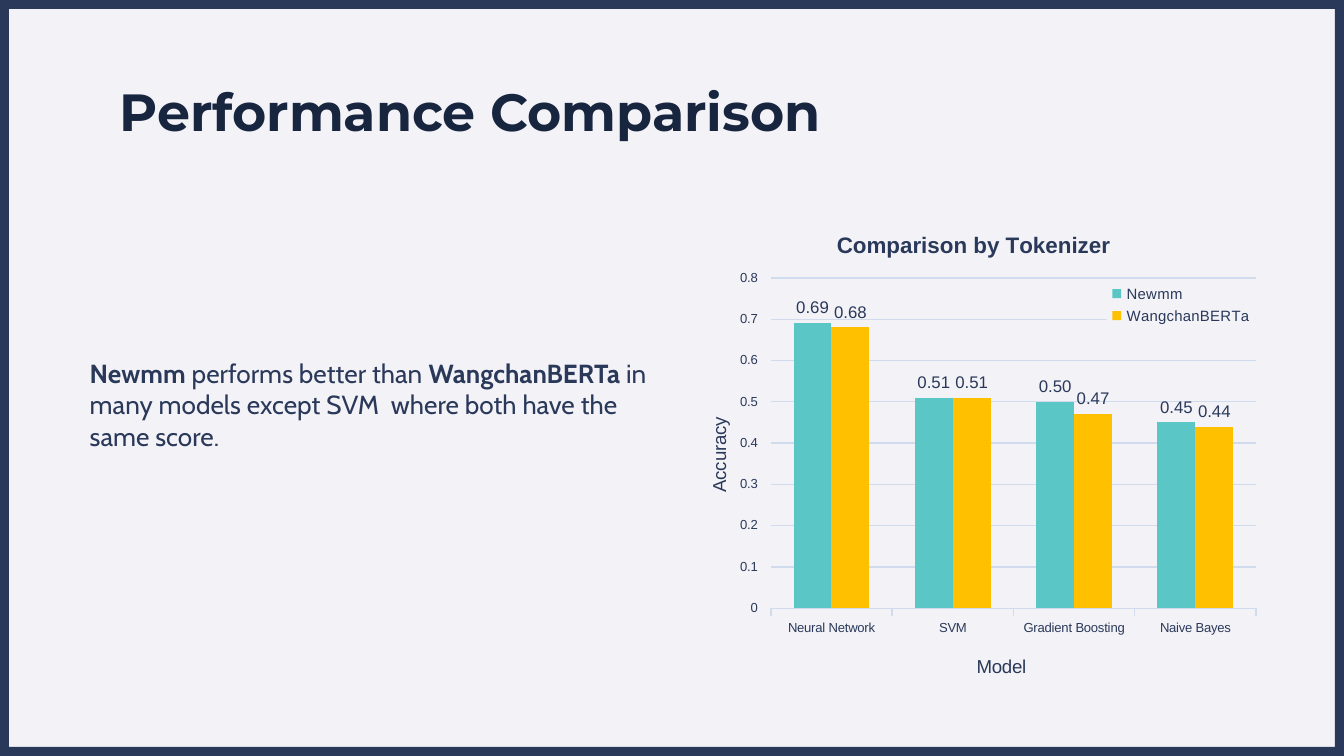
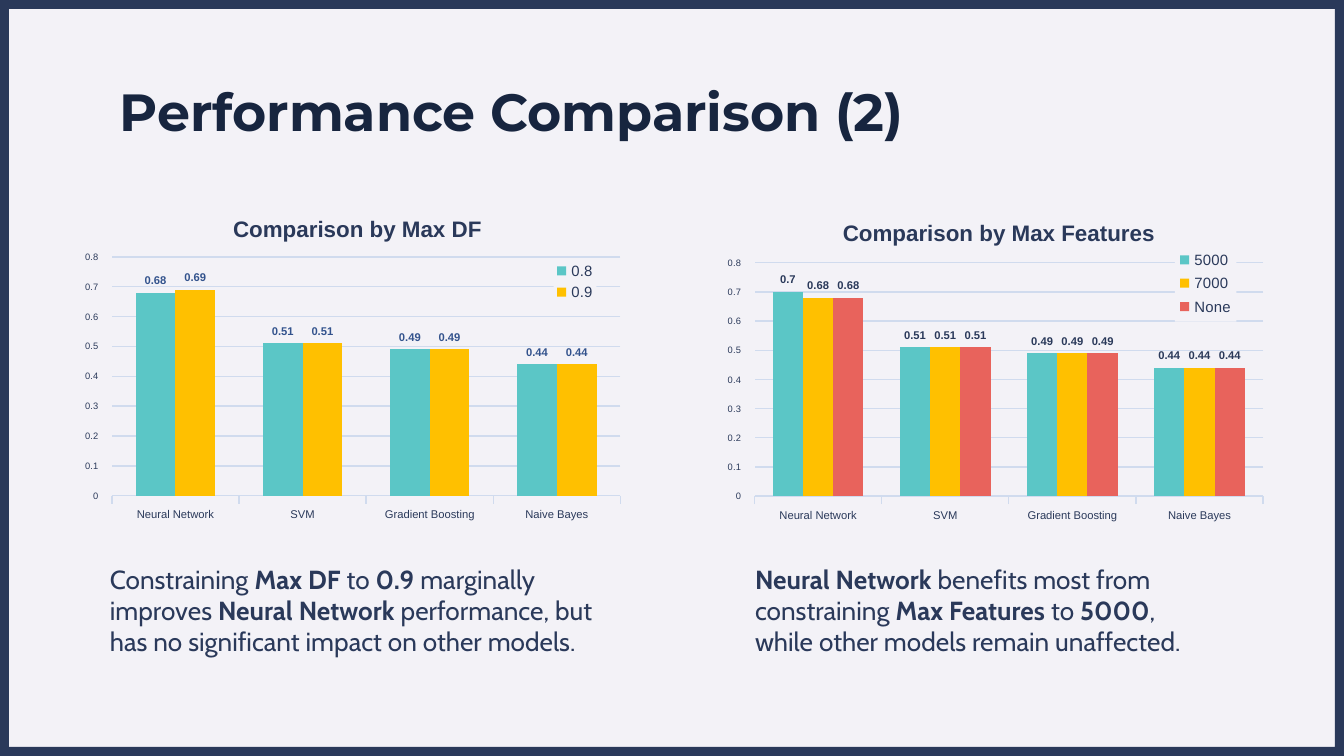
from dataclasses import dataclass

from lxml import etree
from pptx import Presentation
from pptx import util as u
from pptx.chart import data as chart_data
from pptx.dml.color import RGBColor
from pptx.enum import chart as chart_enum
from pptx.enum import shapes, text
from pptx.oxml import ns


@dataclass(frozen=True)
class Theme:
    background: str = "F3F2F7"
    navy: str = "2A395A"
    title: str = "17253F"
    label_blue: str = "33538D"
    grid: str = "D0DBEE"
    series: tuple = ("5BC6C6", "FFC000", "E8635C")
    title_font: str = "Montserrat"
    body_font: str = "Cabin"
    chart_font: str = "Arial"
    title_size: int = 28
    body_size: int = 14
    chart_title_size: int = 12
    chart_size: int = 10
    legend_size: int = 8


theme = Theme()
rgb = RGBColor.from_string


def write_text(frame, content, font=theme.body_font, size=theme.body_size,
               color=theme.navy, bold=False):
    """Write lines into a text frame; **marks** enclose bold words."""
    for line_number, line in enumerate(content.split("\n")):
        paragraph = frame.add_paragraph() if line_number else frame.paragraphs[0]
        paragraph.alignment = text.PP_ALIGN.LEFT
        for part_number, part in enumerate(line.split("**")):
            if part:
                run = paragraph.add_run()
                run.text = part
                run.font.name = font
                run.font.size = u.Pt(size)
                run.font.bold = bold or part_number % 2 == 1
                run.font.color.rgb = rgb(color)


def place(element, index, **fractions):
    """Fix a chart part at fractions of the chart area."""
    for old_layout in element.findall(ns.qn("c:layout")):
        element.remove(old_layout)
    layout = etree.Element(ns.qn("c:layout"))
    manual = etree.SubElement(layout, ns.qn("c:manualLayout"))
    if index == 0:
        etree.SubElement(manual, ns.qn("c:layoutTarget")).set("val", "inner")
    for key in ("x", "y"):
        etree.SubElement(manual, ns.qn(f"c:{key}Mode")).set("val", "edge")
    for key, value in fractions.items():
        etree.SubElement(manual, ns.qn(f"c:{key}")).set("val", str(value))
    element.insert(index, layout)


# Content
categories = ["Neural Network", "SVM", "Gradient Boosting", "Naive Bayes"]
small_chart = dict(width=298.8, height=178.6, category_size=6, value_size=5,
                   label_size=6, label_bold=True, axis_titles=())
slides = [
    dict(
        title="Performance Comparison",
        charts=[dict(
            title="Comparison by Tokenizer", left=360, top=110.9, width=319, height=264.2,
            series={"Newmm": (0.69, 0.51, 0.5, 0.45),
                    "WangchanBERTa": (0.68, 0.51, 0.47, 0.44)},
            formats=("#,##0.00", "General"),
            category_size=7, value_size=7, label_size=9, label_bold=False,
            label_color=theme.navy,
            axis_titles=(("category_axis", "Model", 0.506, 0.9),
                         ("value_axis", "Accuracy", 0.053, 0.42)),
            title_at=dict(x=0.27, y=0.04),
            plot_at=dict(x=0.166, y=0.144, w=0.815, h=0.67),
            legend_at=dict(x=0.73, y=0.148, w=0.25, h=0.1))],
        texts=[(41, 187.9, 324.7, 92.2,
                "**Newmm **performs better than **WangchanBERTa** in many models "
                "except SVM  where both have the same score.")],
    ),
    dict(
        title="Performance Comparison (2)",
        charts=[
            dict(small_chart, title="Comparison by Max DF", left=39.6, top=104.4,
                 series={"0.8": (0.68, 0.51, 0.49, 0.44),
                         "0.9": (0.69, 0.51, 0.49, 0.44)},
                 formats=("General",) * 2, label_color=theme.label_blue,
                 title_at=dict(x=0.278, y=0.05),
                 plot_at=dict(x=0.068, y=0.186, w=0.912, h=0.717),
                 legend_at=dict(x=0.86, y=0.19, w=0.077, h=0.14)),
            dict(small_chart, title="Comparison by Max Features", left=384.5, top=104.4,
                 series={"5000": (0.7, 0.51, 0.49, 0.44),
                         "7000": (0.68, 0.51, 0.49, 0.44),
                         "None": (0.68, 0.51, 0.49, 0.44)},
                 formats=("General",) * 3, label_color=theme.navy,
                 title_at=dict(x=0.217, y=0.062),
                 plot_at=dict(x=0.066, y=0.204, w=0.912, h=0.7),
                 legend_at=dict(x=0.82, y=0.15, w=0.11, h=0.23)),
        ],
        texts=[
            (51.8, 298.1, 275, 74.9,
             "Constraining **Max DF** to** 0.9 **marginally improves **Neural Network** "
             "performance, but has no significant impact on other models."),
            (397.4, 298.1, 272.9, 58.3,
             "**Neural Network **benefits most from constraining **Max Features** to "
             "**5000**,\nwhile other models remain unaffected."),
        ],
    ),
]

presentation = Presentation()
presentation.slide_width = u.Pt(720)
presentation.slide_height = u.Pt(405)
layout = presentation.slide_layouts.get_by_name("Title Only")

# Shared background
background = presentation.slide_master.background.fill
background.solid()
background.fore_color.rgb = rgb(theme.background)

for slide_number, content in enumerate(slides):
    slide = presentation.slides.add_slide(layout)

    # Shared border, kept on the layout
    if slide_number == 0:
        border = slide.shapes.add_shape(shapes.MSO_SHAPE.FRAME, 0, 0,
                                        presentation.slide_width, presentation.slide_height)
        border.adjustments[0] = 0.012
        border.shadow.inherit = False
        border.fill.solid()
        border.fill.fore_color.rgb = rgb(theme.navy)
        border.line.fill.background()
        layout.shapes.element.insert(2, border.element)

    # Title
    title = slide.shapes.title
    title.left, title.top = u.Pt(56.9), u.Pt(35.3)
    title.width, title.height = u.Pt(607), u.Pt(45.4)
    frame = title.text_frame
    frame.auto_size = text.MSO_AUTO_SIZE.NONE
    frame.vertical_anchor = text.MSO_ANCHOR.TOP
    frame.margin_left = frame.margin_right = u.Pt(7.2)
    frame.margin_top = frame.margin_bottom = u.Pt(7.2)
    write_text(frame, content["title"], font=theme.title_font, size=theme.title_size,
               color=theme.title, bold=True)

    # Charts
    for item in content["charts"]:
        data = chart_data.CategoryChartData()
        data.categories = categories
        for name, values in item["series"].items():
            data.add_series(name, values)
        chart = slide.shapes.add_chart(
            chart_enum.XL_CHART_TYPE.COLUMN_CLUSTERED,
            *(u.Pt(item[key]) for key in ("left", "top", "width", "height")), data).chart
        chart.font.name = theme.chart_font
        chart.font.size = u.Pt(theme.chart_size)
        chart.font.color.rgb = rgb(theme.title)
        chart.has_title = True
        write_text(chart.chart_title.text_frame, item["title"], font=theme.chart_font,
                   size=theme.chart_title_size, bold=True)
        place(chart.chart_title.element if hasattr(chart.chart_title, "element")
              else chart.chart_title._element, 1, **item["title_at"])

        # Columns and their values
        plot = chart.plots[0]
        plot.gap_width = 120
        plot.overlap = 0
        plot.vary_by_categories = False
        for series, color, number_format in zip(plot.series, theme.series, item["formats"]):
            series.format.fill.solid()
            series.format.fill.fore_color.rgb = rgb(color)
            labels = series.data_labels
            labels.show_value = True
            labels.position = chart_enum.XL_LABEL_POSITION.OUTSIDE_END
            labels.number_format = number_format
            labels.number_format_is_linked = False
            labels.font.name = theme.chart_font
            labels.font.size = u.Pt(item["label_size"])
            labels.font.bold = item["label_bold"]
            labels.font.color.rgb = rgb(item["label_color"])

        # Axes
        category_axis, value_axis = chart.category_axis, chart.value_axis
        for axis, size in ((category_axis, item["category_size"]),
                           (value_axis, item["value_size"])):
            axis.major_tick_mark = chart_enum.XL_TICK_MARK.OUTSIDE
            axis.tick_labels.font.name = theme.chart_font
            axis.tick_labels.font.size = u.Pt(size)
            axis.tick_labels.font.color.rgb = rgb(theme.navy)
        value_axis.minimum_scale, value_axis.maximum_scale = 0, 0.8
        value_axis.major_unit = 0.1
        value_axis.format.line.fill.background()
        for line in (category_axis.format.line, value_axis.major_gridlines.format.line):
            line.color.rgb = rgb(theme.grid)
            line.width = u.Pt(0.75)
        for axis_name, caption, x, y in item["axis_titles"]:
            axis_title = getattr(chart, axis_name).axis_title
            write_text(axis_title.text_frame, caption, font=theme.chart_font,
                       size=theme.chart_size)
            if axis_name == "value_axis":
                body = axis_title._element.find(".//" + ns.qn("a:bodyPr"))
                body.set("rot", "-5400000")
                body.set("vert", "horz")
            place(axis_title._element, 1, x=x, y=y)

        # Legend over the gridlines
        chart.has_legend = True
        legend = chart.legend
        legend.position = chart_enum.XL_LEGEND_POSITION.CORNER
        legend.include_in_layout = True
        legend.font.name = theme.chart_font
        legend.font.size = u.Pt(theme.legend_size)
        legend.font.color.rgb = rgb(theme.navy)
        place(legend._element, 1, **item["legend_at"])
        properties = etree.Element(ns.qn("c:spPr"))
        fill = etree.SubElement(properties, ns.qn("a:solidFill"))
        etree.SubElement(fill, ns.qn("a:srgbClr")).set("val", theme.background)
        legend._element.find(ns.qn("c:overlay")).addnext(properties)
        place(chart.element.find(".//" + ns.qn("c:plotArea")) if hasattr(chart, "element")
              else chart._chartSpace.find(".//" + ns.qn("c:plotArea")), 0, **item["plot_at"])

    # Findings
    for left, top, width, height, finding in content["texts"]:
        box = slide.shapes.add_textbox(u.Pt(left), u.Pt(top), u.Pt(width), u.Pt(height))
        box.text_frame.word_wrap = True
        write_text(box.text_frame, finding)

presentation.save("out.pptx")
